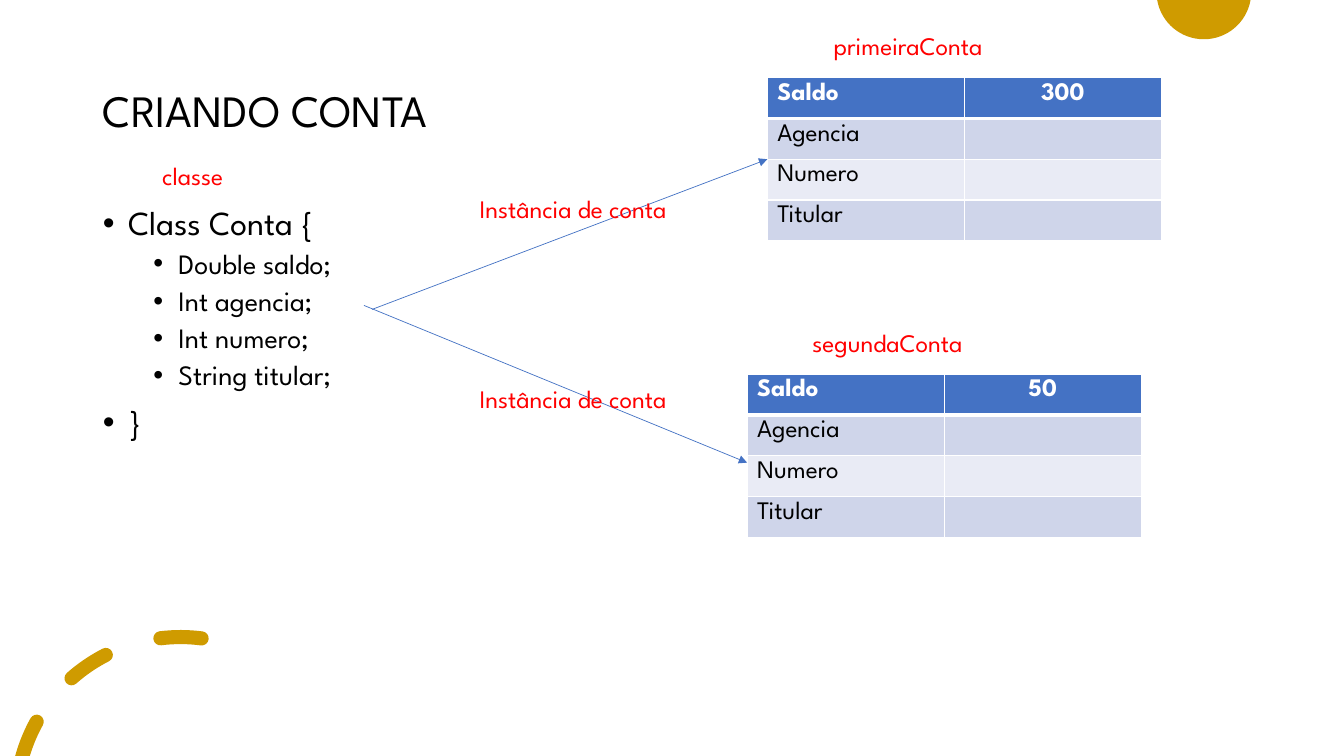
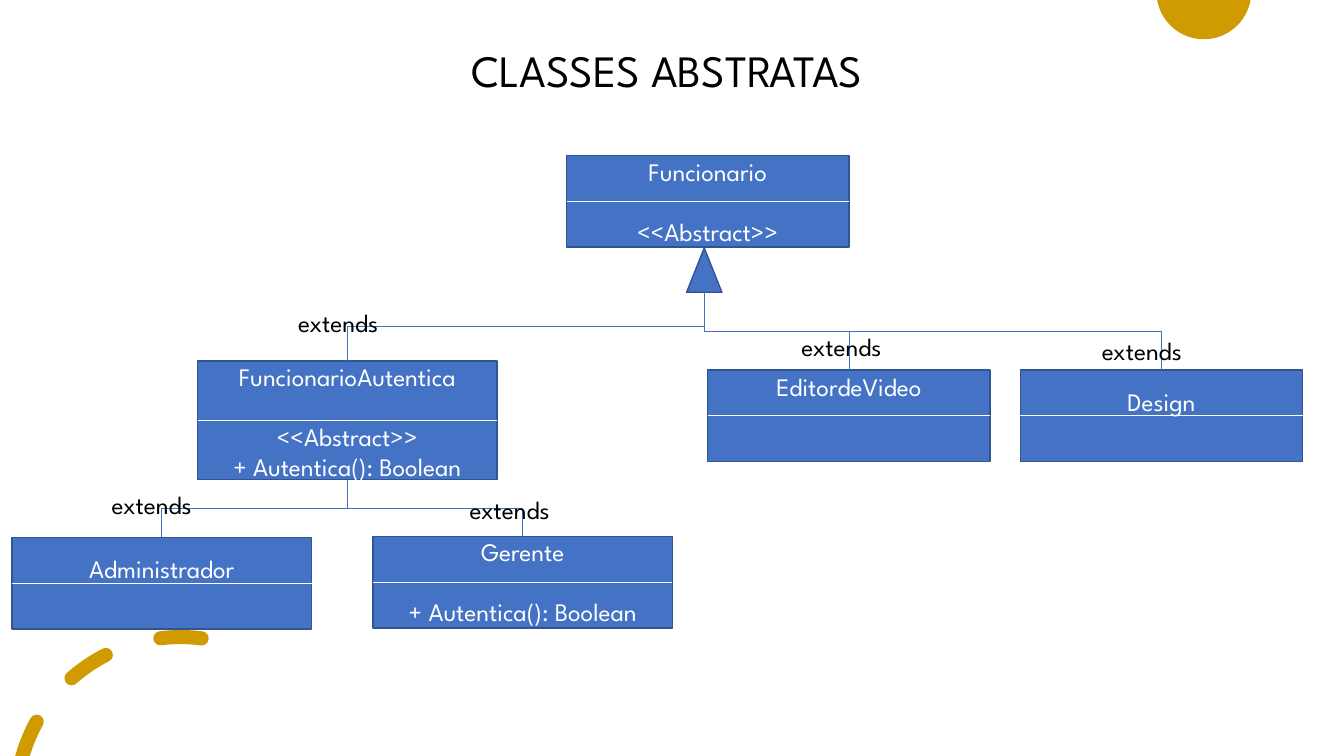
"""Build two slides on Java classes: account instances and abstract classes."""
from math import cos, radians, sin, tan

from lxml import etree
from pptx import Presentation
from pptx.dml.color import RGBColor
from pptx.enum.shapes import MSO_CONNECTOR as CXN, MSO_SHAPE as SHAPE
from pptx.enum.text import MSO_ANCHOR as ANCHOR, PP_ALIGN as ALIGN
from pptx.oxml.ns import qn
from pptx.util import Inches, Pt

FONT = "League Spartan"
BLUE, NAVY, GOLD = "4472C4", "325491", "CF9B00"
WHITE, BLACK, RED = "FFFFFF", "000000", "FF0000"
BANDS = [BLUE, "CFD5EA", "E9EBF5", "CFD5EA"]
LINE_PT = 21.4
rgb = RGBColor.from_string


def write(p, text, size=18, color=BLACK, align=ALIGN.LEFT, bold=False):
    p.text = text
    p.alignment = align
    p.font.name = FONT
    p.font.size = Pt(size)
    p.font.bold = bold
    p.font.color.rgb = rgb(color)


def connect(s, kind, x1, y1, x2, y2, color=BLUE):
    c = s.shapes.add_connector(kind, x1, y1, x2, y2)
    c.line.color.rgb = rgb(color)
    c.line.width = Pt(0.5)
    etree.SubElement(c._element.spPr, qn("a:effectLst"))
    return c


prs = Presentation()
prs.slide_width, prs.slide_height = Inches(13.33), Inches(7.5)
account = prs.slides.add_slide(prs.slide_layouts[1])
abstract = prs.slides.add_slide(prs.slide_layouts[5])

disc = [[(11.94, -0.08, 0.47, 100, 180), (11.94, -0.08, 0.47, 180, 260)]]
dashes = []
cx, cy, radius, half = 1.79, 7.95, 1.63, 0.07
for outer, inner, b in [(-74.65, -73.2, -61), (-41.5, -41.5, -27), (-7, -7, 7.4)]:
    (ax, ay), (bx, by) = [(cx + radius * sin(radians(t)), cy - radius * cos(radians(t)))
                          for t in (outer, b)]
    dash = [(cx, cy, radius + half, outer, b),
            (bx, by, half, b, b + 90), (bx, by, half, b + 90, b + 180),
            (cx, cy, radius - half, b, inner)]
    if outer == inner:
        dash += [(ax, ay, half, outer + 180, outer + 270), (ax, ay, half, outer + 270, outer + 360)]
    dashes.append(dash)

for contours in (disc, dashes):
    fb = None
    for arcs in contours:
        pts = []
        for x, y, r, a, b in arcs:
            a, b = radians(a), radians(b)
            k = 4 / 3 * tan((b - a) / 4)
            curve = [(sin(a), -cos(a)), (sin(a) + k * cos(a), -cos(a) + k * sin(a)),
                     (sin(b) - k * cos(b), -cos(b) - k * sin(b)), (sin(b), -cos(b))]
            curve = [(Inches(x + r * u), Inches(y + r * v)) for u, v in curve]
            pts += curve[1:] if pts else curve
        if fb is None:
            fb = account.shapes.build_freeform(*pts[0])
        else:
            fb.move_to(*pts[0])
        fb.add_line_segments(pts[1:])
    sp = fb.convert_to_shape()
    segments = list(sp._element.iter(qn("a:lnTo")))
    for i in range(0, len(segments), 3):
        bezier = etree.Element(qn("a:cubicBezTo"))
        segments[i].addprevious(bezier)
        for segment in segments[i:i + 3]:
            bezier.append(segment[0])
            segment.getparent().remove(segment)
    sp.shadow.inherit = False
    sp.fill.solid()
    sp.fill.fore_color.rgb = rgb(GOLD)
    sp.line.fill.background()
    prs.slide_master.shapes._spTree.append(sp._element)

for s, text, top, align in [(account, "CRIANDO CONTA", 0.4, ALIGN.LEFT),
                            (abstract, "CLASSES ABSTRATAS ", 0, ALIGN.CENTER)]:
    title = s.shapes.title
    title.left, title.top = Inches(0.92), Inches(top)
    title.width, title.height = Inches(11.5), Inches(1.45)
    title.text_frame.vertical_anchor = ANCHOR.MIDDLE
    p = title.text_frame.paragraphs[0]
    write(p, text, 32, align=align)
    p.line_spacing = 0.9

body = account.placeholders[1]
body.left, body.top, body.width, body.height = Inches(0.92), Inches(2), Inches(11.5), Inches(4.22)
code = [("Class Conta {", 0), ("Double saldo;", 1), ("Int agencia;", 1),
        ("Int numero;", 1), ("String titular;", 1), ("}", 0)]
tf = body.text_frame
for i, (text, level) in enumerate(code):
    p = tf.add_paragraph() if i else tf.paragraphs[0]
    write(p, text, 20 if level else 24)
    p.level = level
    p.line_spacing = 0.9
    p.space_before = Pt(5 if level else 10)
    pPr = p._p.get_or_add_pPr()
    pPr.set("marL", str(Inches(0.25 + 0.5 * level)))
    pPr.set("indent", str(-Inches(0.25)))
    bullet = etree.Element(qn("a:buChar"), char="•")
    pPr.find(qn("a:defRPr")).addprevious(bullet)

for x, y, balance, start, end_y in [(7.61, 0.77, "300", (3.69, 3.07), 1.58),
                                    (7.41, 3.71, "50", (3.61, 3.03), 4.59)]:
    table = account.shapes.add_table(4, 2, Inches(x), Inches(y), Inches(3.91), Inches(1.62)).table
    for row, field in enumerate(["Saldo", "Agencia", "Numero", "Titular"]):
        for col, text in enumerate([field, "" if row else balance]):
            cell = table.cell(row, col)
            cell.fill.solid()
            cell.fill.fore_color.rgb = rgb(BANDS[row])
            write(cell.text_frame.paragraphs[0], text, 18, BLACK if row else WHITE,
                  ALIGN.CENTER if col else ALIGN.LEFT, row == 0)
            if row == 0:
                border = etree.Element(qn("a:lnB"), w=str(Pt(3)))
                fill = etree.SubElement(border, qn("a:solidFill"))
                etree.SubElement(fill, qn("a:srgbClr"), val=WHITE)
                cell._tc.get_or_add_tcPr().insert(0, border)
    arrow = connect(account, CXN.STRAIGHT, *map(Inches, start), Inches(x), Inches(end_y))
    etree.SubElement(arrow.line._get_or_add_ln(), qn("a:tailEnd"), type="triangle")

classes = [
    ("base", 5.62, 1.54, 2.8, 0.91, 0.01, [("Funcionario", 0), ("<<Abstract>>", 1)]),
    ("auth", 1.96, 3.58, 2.97, 1.18, 0,
     [("FuncionarioAutentica", 0), ("<<Abstract>>", 1), ("+ Autentica(): Boolean", 0)]),
    ("editor", 7.02, 3.67, 2.8, 0.91, 0.01, [("EditordeVideo", 0)]),
    ("design", 10.12, 3.67, 2.8, 0.91, 0.16, [("Design", 0)]),
    ("admin", 0.12, 5.33, 2.97, 0.91, 0.16, [("Administrador", 0)]),
    ("manager", 3.7, 5.32, 2.97, 0.91, 0, [("Gerente", 0), ("+ Autentica(): Boolean", 1)]),
    ("triangle", 6.81, 2.46, 0.35, 0.44, 0, []),
]
nodes = {}
for name, x, y, w, h, inset, lines in classes:
    kind = SHAPE.RECTANGLE if lines else SHAPE.ISOSCELES_TRIANGLE
    sp = abstract.shapes.add_shape(kind, Inches(x), Inches(y), Inches(w), Inches(h))
    nodes[name] = sp
    sp.shadow.inherit = False
    sp.fill.solid()
    sp.fill.fore_color.rgb = rgb(BLUE)
    sp.line.color.rgb = rgb(NAVY)
    sp.line.width = Pt(1)
    if not lines:
        continue
    tf = sp.text_frame
    tf.vertical_anchor = ANCHOR.TOP
    tf.margin_top, tf.margin_bottom = Inches(inset), 0
    for i, (text, gap) in enumerate(lines):
        p = tf.add_paragraph() if i else tf.paragraphs[0]
        write(p, text, 18, WHITE, ALIGN.CENTER)
        p.space_before = Pt(gap * LINE_PT)
    middle = sp.top + sp.height // 2
    divider = connect(abstract, CXN.STRAIGHT, sp.left, middle, sp.left + sp.width, middle, WHITE)
    divider.begin_connect(sp, 1)
    divider.end_connect(sp, 3)

for child, parent, site in [("auth", "triangle", 3), ("editor", "triangle", 3),
                            ("design", "triangle", 3), ("admin", "auth", 2),
                            ("manager", "auth", 2)]:
    low, high = nodes[child], nodes[parent]
    x1, y1 = low.left + low.width // 2, low.top
    x2, y2 = high.left + high.width // 2, high.top + high.height
    c = connect(abstract, CXN.ELBOW, x1, y1, x2, y2)
    c.begin_connect(low, 0)
    c.end_connect(high, site)
    c.width, c.height = y1 - y2, abs(x2 - x1)
    c.left, c.top = (x1 + x2 - c.width) // 2, (y1 + y2 - c.height) // 2
    xfrm = c._element.spPr.find(qn("a:xfrm"))
    xfrm.set("rot", str(270 * 60000))
    xfrm.set("flipH", "0")
    xfrm.set("flipV", "1" if x2 < x1 else "0")

labels = [(account, 2.54, RED, [("Instância de conta", 4.66, 1.87), ("primeiraConta", 8.17, 0.25),
                                ("classe", 1.51, 1.54), ("segundaConta", 7.96, 3.2),
                                ("Instância de conta", 4.66, 3.75)]),
          (abstract, 1.24, BLACK, [("extends", x, y) for x, y in [
              (7.85, 3.24), (10.83, 3.28), (4.56, 4.86), (1.01, 4.81), (2.86, 3)]])]
for s, width, color, items in labels:
    for text, x, y in items:
        tf = s.shapes.add_textbox(Inches(x), Inches(y), Inches(width), Inches(0.4)).text_frame
        tf.word_wrap = True
        write(tf.paragraphs[0], text, 18, color)

prs.save("out.pptx")
